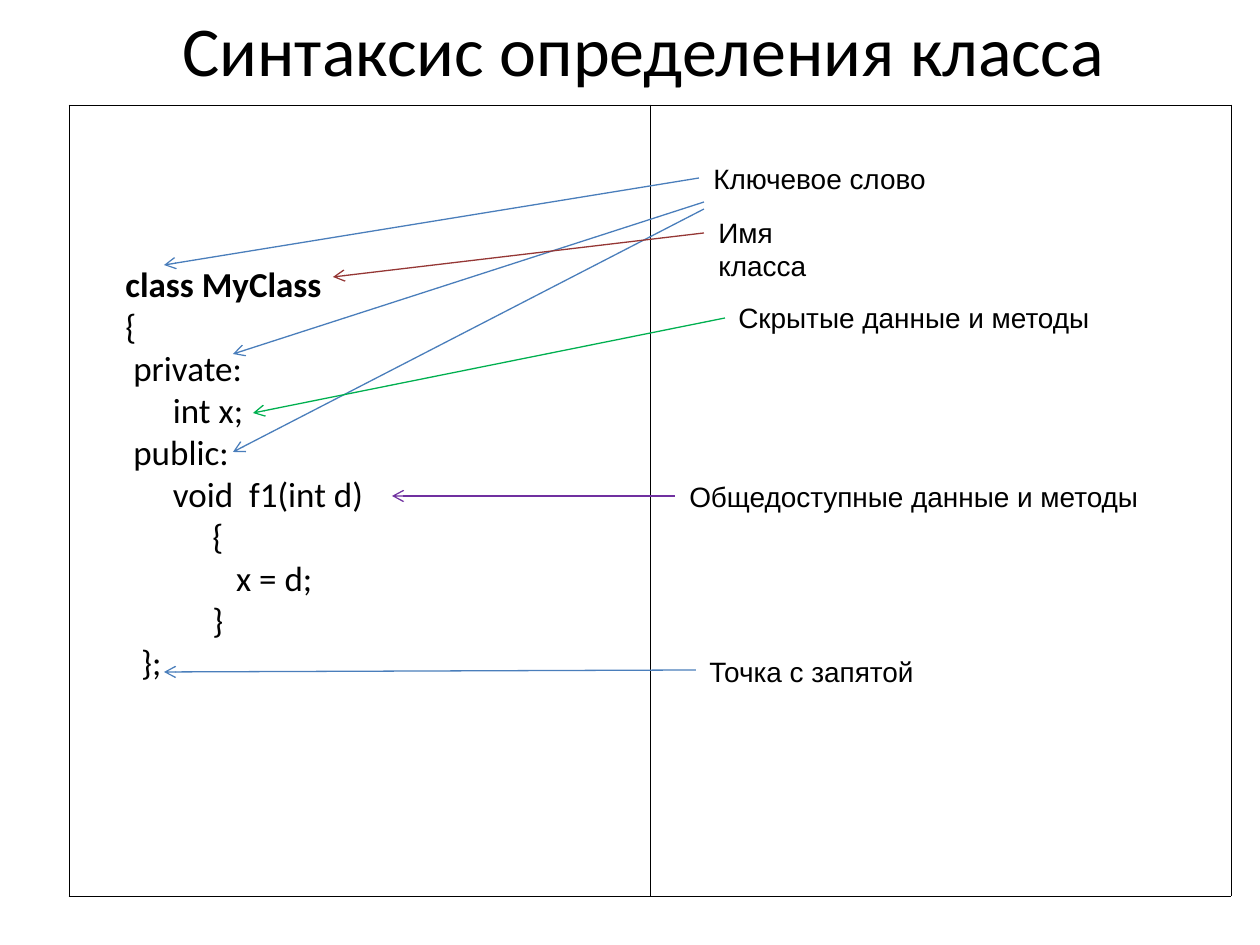
from typing import NamedTuple

from lxml.etree import SubElement
from pptx import Presentation
from pptx.dml.color import RGBColor
from pptx.enum.shapes import MSO_CONNECTOR
from pptx.enum.text import MSO_ANCHOR, PP_ALIGN
from pptx.oxml.ns import qn
from pptx.util import Emu, Pt

PX_PER_INCH = 126
BLACK, BLUE, RED, GREEN, PURPLE = "000000", "4A7EBB", "953735", "00B050", "7030A0"


class Label(NamedTuple):
    text: str
    x: int
    y: int
    w: int
    right_inset: int = 13
    wrap: bool = False


class Arrow(NamedTuple):
    x1: int
    y1: int
    x2: int
    y2: int
    color: str


LABELS = [
    Label("Ключевое слово", 701, 155, 238),
    Label("Имя класса", 706, 209, 175, right_inset=40, wrap=True),
    Label("Скрытые данные и методы", 726, 294, 378),
    Label("Общедоступные данные и методы", 677, 473, 476),
    Label("Точка с запятой", 697, 648, 232),
]
ARROWS = [
    Arrow(699, 178, 164, 265, BLUE),
    Arrow(704, 202, 233, 354, BLUE),
    Arrow(704, 209, 233, 452, BLUE),
    Arrow(704, 233, 333, 277, RED),
    Arrow(725, 318, 253, 413, GREEN),
    Arrow(675, 496, 392, 496, PURPLE),
    Arrow(696, 670, 164, 672, BLUE),
]
CODE = """class MyClass
{
 private:
      int x;
 public:
      void  f1(int d)
           {
              x = d;
           }
  };"""


def px(n: int) -> Emu:
    return Emu(round(n * 914400 / PX_PER_INCH))


def rgb(color: str) -> RGBColor:
    return RGBColor.from_string(color)


def add_box(s, x: int, y: int, w: int, h: int, wrap: bool = True):
    tf = s.shapes.add_textbox(px(x), px(y), px(w), px(h)).text_frame
    tf.word_wrap = wrap
    return tf


def add_text(p, text: str, size: int, font: str, bold: bool = False) -> None:
    r = p.add_run()
    r.text = text
    r.font.size, r.font.name, r.font.bold = Pt(size), font, bold
    r.font.color.rgb = rgb(BLACK)


def add_title(s) -> None:
    tf = add_box(s, 108, 0, 1071, 98)
    tf.vertical_anchor = MSO_ANCHOR.MIDDLE
    tf.paragraphs[0].alignment = PP_ALIGN.CENTER
    add_text(tf.paragraphs[0], "Синтаксис определения класса", 40, "Calibri")


def add_frame_table(s) -> None:
    """Empty two-column table with thin black borders."""
    tbl = s.shapes.add_table(1, 2, px(69), px(105), px(1162), px(791)).table
    for cell in tbl.iter_cells():
        tc_pr = cell._tc.get_or_add_tcPr()
        for side in ("lnL", "lnR", "lnT", "lnB"):
            ln = SubElement(tc_pr, qn(f"a:{side}"), w=str(Pt(0.45)))
            fill = SubElement(ln, qn("a:solidFill"))
            SubElement(fill, qn("a:srgbClr"), val=BLACK)
        cell.fill.background()


def add_code(s) -> None:
    tf = add_box(s, 113, 256, 397, 433)
    for i, line in enumerate(CODE.split("\n")):
        p = tf.add_paragraph() if i else tf.paragraphs[0]
        p.alignment = PP_ALIGN.JUSTIFY
        add_text(p, line, 20, "Calibri", bold=i == 0)


def add_label(s, label: Label) -> None:
    tf = add_box(s, label.x, label.y, label.w, 47, label.wrap)
    tf.margin_right = px(label.right_inset)
    add_text(tf.paragraphs[0], label.text, 16, "Arial")


def add_arrow(s, a: Arrow) -> None:
    sp = s.shapes.add_connector(MSO_CONNECTOR.STRAIGHT, px(a.x1), px(a.y1), px(a.x2), px(a.y2))
    sp.line.color.rgb = rgb(a.color)
    sp.line.width = Pt(0.75)
    SubElement(sp.line._get_or_add_ln(), qn("a:tailEnd"), type="arrow")
    SubElement(sp._element.spPr, qn("a:effectLst"))


def main() -> None:
    prs = Presentation()
    prs.slide_width, prs.slide_height = px(1260), px(945)
    s = prs.slides.add_slide(prs.slide_layouts[6])
    add_title(s)
    add_frame_table(s)
    add_code(s)
    for label in LABELS:
        add_label(s, label)
    for arrow in ARROWS:
        add_arrow(s, arrow)
    prs.save("out.pptx")


if __name__ == "__main__":
    main()
